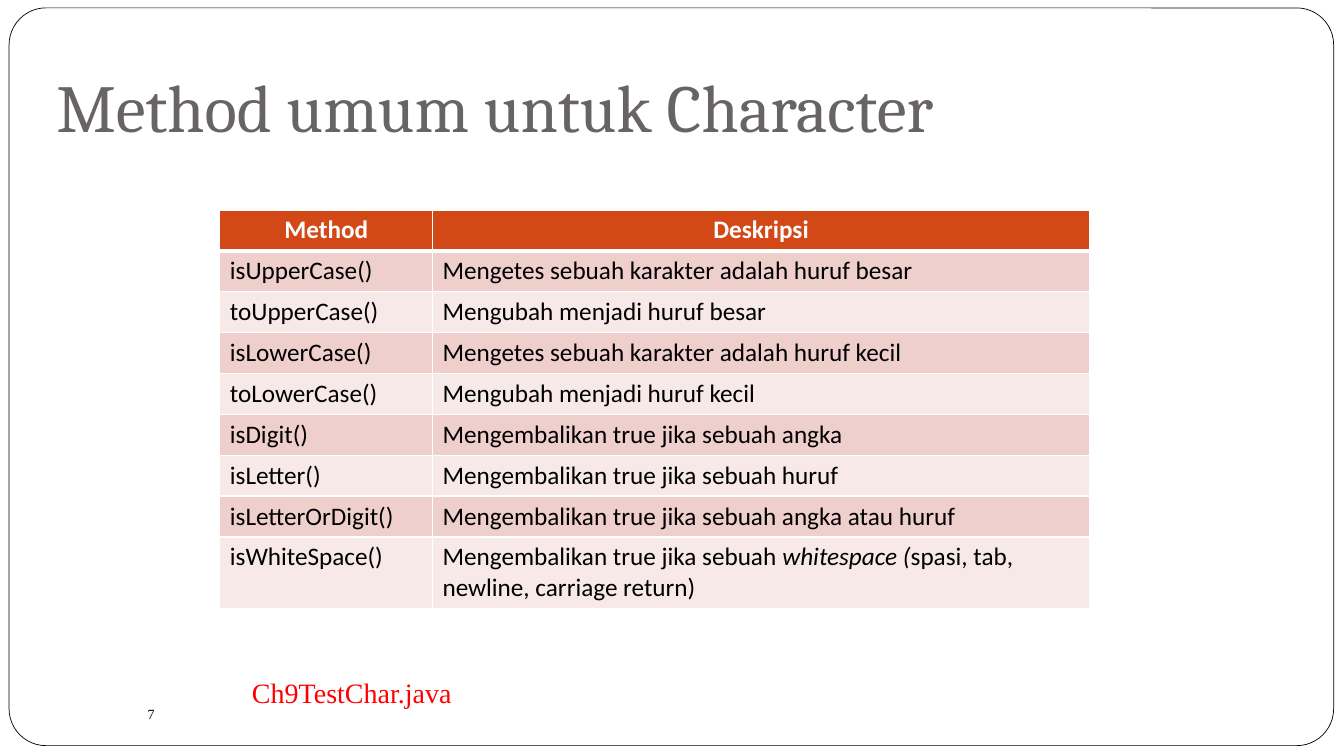
import pptx
import pptx.util
import pptx.dml.color
import pptx.enum.shapes
import pptx.enum.text
import lxml.etree
from pptx.util import Cm, Pt
from pptx.dml.color import RGBColor

WHITE = RGBColor(0xFF, 0xFF, 0xFF)
BLACK = RGBColor(0x00, 0x00, 0x00)
RED = RGBColor(0xFF, 0x00, 0x00)
GREY = RGBColor(0x69, 0x64, 0x64)
ORANGE = RGBColor(0xD3, 0x48, 0x17)
BANDS = [RGBColor(0xF7, 0xE9, 0xE8), RGBColor(0xEF, 0xCF, 0xCC)]
NS = "http://schemas.openxmlformats.org/drawingml/2006/main"
ANCHOR = pptx.enum.text.MSO_ANCHOR


def add_text(left, top, width, height, text, font, size, color):
    tf = s.shapes.add_textbox(Cm(left), Cm(top), Cm(width), Cm(height)).text_frame
    tf.text = text
    r = tf.paragraphs[0].runs[0]
    r.font.name, r.font.size, r.font.color.rgb = font, Pt(size), color
    return tf


def add_border(cell, side, width):
    ln = lxml.etree.SubElement(cell._tc.get_or_add_tcPr(), f"{{{NS}}}ln{side}", w=str(Pt(width)))
    fill = lxml.etree.SubElement(ln, f"{{{NS}}}solidFill")
    lxml.etree.SubElement(fill, f"{{{NS}}}srgbClr", val=str(WHITE))


prs = pptx.Presentation()
prs.slide_width, prs.slide_height = Cm(33.87), Cm(19.05)
s = prs.slides.add_slide(prs.slide_layouts[6])

# Rounded frame
frame = s.shapes.add_shape(pptx.enum.shapes.MSO_SHAPE.ROUNDED_RECTANGLE,
                           Cm(0.23), Cm(0.2), Cm(33.38), Cm(18.59))
frame.adjustments[0] = 0.05
frame.shadow.inherit = False
frame.fill.solid()
frame.fill.fore_color.rgb = WHITE
frame.line.color.rgb = BLACK
frame.line.width = Pt(0.5)

# Title
tf = add_text(1.17, 0.76, 30.99, 3.18, "Method umum untuk Character", "Cambria", 48, GREY)
tf.word_wrap = True
tf.vertical_anchor = ANCHOR.BOTTOM
tf.margin_bottom = Cm(0.25)

# Slide number
tf = add_text(3.38, 17.15, 14.68, 1.27, "7", "Times New Roman", 10, BLACK)
tf.word_wrap = True
tf.vertical_anchor = ANCHOR.MIDDLE
tf.margin_left, tf.margin_top = Cm(0.34), Cm(0.53)

# Method table: each cell is a list of runs, every second run is italic
rows = [
    (["Method"], ["Deskripsi"]),
    (["isUpperCase()"], ["Mengetes sebuah karakter adalah huruf besar"]),
    (["toUpperCase()"], ["Mengubah menjadi huruf besar"]),
    (["isLowerCase()"], ["Mengetes sebuah karakter adalah huruf kecil"]),
    (["toLowerCase()"], ["Mengubah menjadi huruf kecil"]),
    (["isDigit()"], ["Mengembalikan true jika sebuah angka"]),
    (["isLetter()"], ["Mengembalikan true jika sebuah huruf"]),
    (["isLetterOrDigit()"], ["Mengembalikan true jika sebuah angka atau huruf"]),
    (["isWhiteSpace()"], ["Mengembalikan true jika sebuah ", "whitespace (",
                          "spasi, tab, newline, carriage return)"]),
]
table = s.shapes.add_table(len(rows), 2, Cm(5.54), Cm(5.29), Cm(21.92), Cm(10.04)).table
table.columns[0].width, table.columns[1].width = Cm(5.36), Cm(16.56)
for i, row in enumerate(rows):
    header = i == 0
    table.rows[i].height = Cm(1.8 if i == len(rows) - 1 else 1.03)
    for j, parts in enumerate(row):
        cell = table.cell(i, j)
        for side in "LRTB":
            under_header = (i, side) in [(0, "B"), (1, "T")]
            add_border(cell, side, 3 if under_header else 1)
        cell.fill.solid()
        cell.fill.fore_color.rgb = ORANGE if header else BANDS[i % 2]
        p = cell.text_frame.paragraphs[0]
        if header:
            p.alignment = pptx.enum.text.PP_ALIGN.CENTER
        for k, part in enumerate(parts):
            r = p.add_run()
            r.text = part
            r.font.name, r.font.size = "Calibri", Pt(18)
            r.font.bold, r.font.italic = header, k % 2 == 1
            r.font.color.rgb = WHITE if header else BLACK

# Source file name
tf = add_text(6.1, 16.89, 5.59, 1.12, "Ch9TestChar.java", "Times New Roman", 20, RED)
tf.word_wrap = False
tf.auto_size = pptx.enum.text.MSO_AUTO_SIZE.SHAPE_TO_FIT_TEXT

prs.save("out.pptx")
